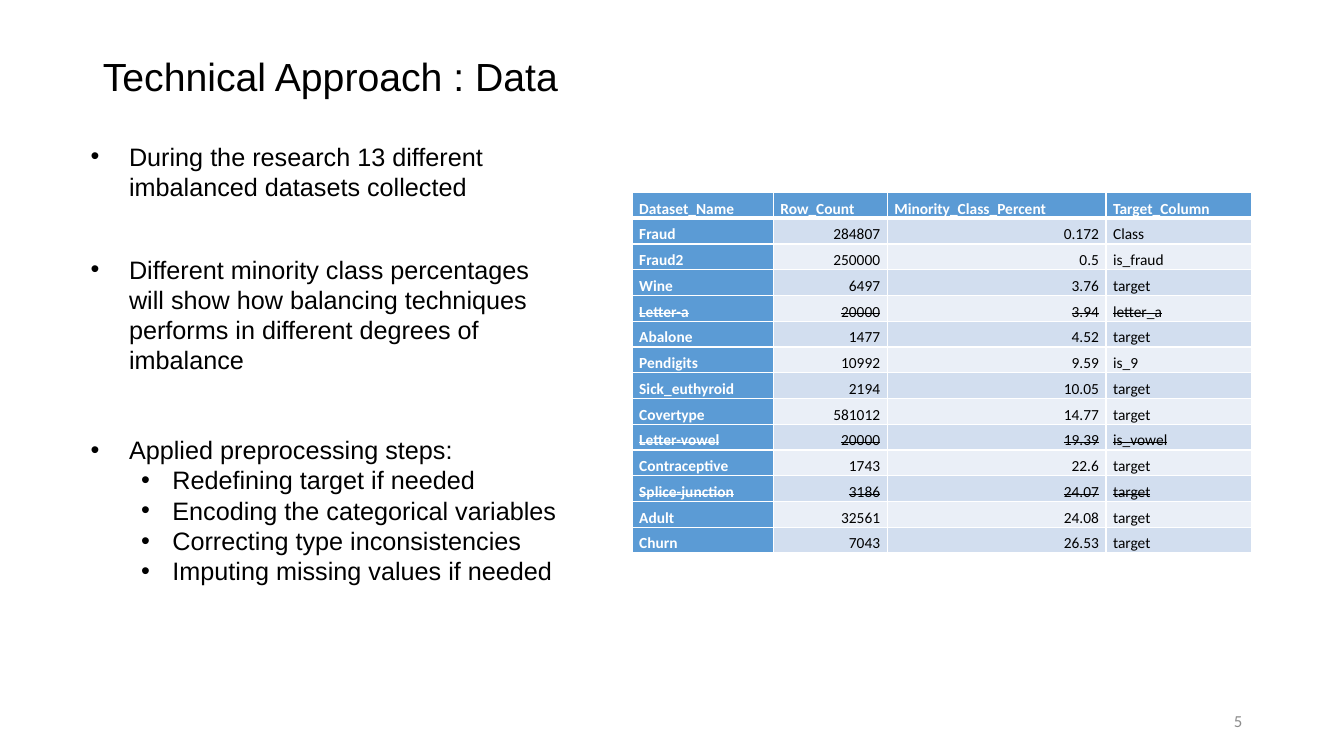
from dataclasses import dataclass
from lxml.etree import SubElement
from pptx import Presentation
from pptx.dml.color import RGBColor as Rgb
from pptx.enum.text import MSO_ANCHOR as Anchor, MSO_AUTO_SIZE as Fit, PP_ALIGN as Align
from pptx.oxml.ns import qn
from pptx.util import Inches, Pt

COLORS = {
    "text": "000000",
    "white": "FFFFFF",
    "head": "5B9BD5",
    "odd": "D2DEEF",
    "even": "EAEFF7",
    "page": "8C8C8C",
}


@dataclass
class Box:
    left: float
    top: float
    width: float
    height: float

    def place(self, shape) -> None:
        shape.left, shape.top = Inches(self.left), Inches(self.top)
        shape.width, shape.height = Inches(self.width), Inches(self.height)


@dataclass
class Point:
    box: Box
    text: str
    subs: tuple[str, ...] = ()


@dataclass
class Data:
    name: str
    count: str
    share: str
    target: str = "target"
    struck: bool = False


POINTS = [
    Point(Box(0.8, 1.35, 4.89, 0.71),
          "During the research 13 different imbalanced datasets collected"),
    Point(Box(0.8, 2.47, 4.89, 1.31),
          "Different minority class percentages will show how balancing "
          "techniques performs in different degrees of imbalance"),
    Point(Box(0.8, 4.26, 4.89, 1.65), "Applied preprocessing steps:", (
        "Redefining target if needed",
        "Encoding the categorical variables",
        "Correcting type inconsistencies",
        "Imputing missing values if needed",
    )),
]
INDENTS = [(0.38, -0.38), (0.81, -0.31)]
WIDTHS = [1.4, 1.13, 2.17, 1.44]
ROWS = [
    Data("Dataset_Name", "Row_Count", "Minority_Class_Percent", "Target_Column"),
    Data("Fraud", "284807", "0.172", "Class"),
    Data("Fraud2", "250000", "0.5", "is_fraud"),
    Data("Wine", "6497", "3.76"),
    Data("Letter-a", "20000", "3.94", "letter_a", True),
    Data("Abalone", "1477", "4.52"),
    Data("Pendigits", "10992", "9.59", "is_9"),
    Data("Sick_euthyroid", "2194", "10.05"),
    Data("Covertype", "581012", "14.77"),
    Data("Letter-vowel", "20000", "19.39", "is_vowel", True),
    Data("Contraceptive", "1743", "22.6"),
    Data("Splice-junction", "3186", "24.07", struck=True),
    Data("Adult", "32561", "24.08"),
    Data("Churn", "7043", "26.53"),
]


def style(par, size: float, face: str, color: str, bold: bool = False) -> None:
    for run in par.runs:
        font = run.font
        font.size, font.name, font.bold = Pt(size), face, bold
        font.color.rgb = Rgb.from_string(COLORS[color])


def add_point(shape, point: Point) -> None:
    point.box.place(shape)
    frame = shape.text_frame
    frame.text = "\n".join((point.text, *point.subs))
    frame.word_wrap = True
    frame.vertical_anchor = Anchor.TOP
    frame.auto_size = Fit.SHAPE_TO_FIT_TEXT
    for num, par in enumerate(frame.paragraphs):
        par.level = min(num, 1)
        par.space_before = Pt(0)
        par.line_spacing = 1.0
        props = par._p.get_or_add_pPr()
        left, hang = INDENTS[par.level]
        props.set("marL", str(Inches(left)))
        props.set("indent", str(Inches(hang)))
        SubElement(props, qn("a:buFont")).set("typeface", "Arial")
        SubElement(props, qn("a:buChar")).set("char", "•")
        style(par, 18, "Arial", "text")


def add_edges(cell, row: int) -> None:
    props = cell._tc.get_or_add_tcPr()
    for side in "LRTB":
        thick = (row, side) in ((0, "B"), (1, "T"))
        line = SubElement(props, qn(f"a:ln{side}"))
        line.set("w", str(Pt(3 if thick else 1)))
        fill = SubElement(line, qn("a:solidFill"))
        SubElement(fill, qn("a:srgbClr")).set("val", COLORS["white"])


def fill_cell(cell, text: str, row: int, col: int, struck: bool) -> None:
    head = row == 0 or col == 0
    cell.margin_left = cell.margin_right = Inches(0.07)
    cell.margin_top = cell.margin_bottom = 0
    cell.vertical_anchor = Anchor.BOTTOM
    add_edges(cell, row)
    cell.fill.solid()
    shade = "head" if head else "odd" if row % 2 else "even"
    cell.fill.fore_color.rgb = Rgb.from_string(COLORS[shade])
    par = cell.text_frame.paragraphs[0]
    par.text = text
    par.line_spacing = 1.07
    par.alignment = Align.RIGHT if row and col in (1, 2) else Align.LEFT
    style(par, 11, "Calibri", "white" if head else "text", head)
    if struck:
        par.runs[0]._r.get_or_add_rPr().set("strike", "sngStrike")


def add_grid(slide, box: Box) -> None:
    frame = slide.shapes.add_table(
        len(ROWS), len(WIDTHS), Inches(box.left), Inches(box.top),
        Inches(box.width), Inches(box.height))
    table = frame.table
    table.first_col = True
    for col, width in zip(table.columns, WIDTHS):
        col.width = Inches(width)
    for row, data in enumerate(ROWS):
        texts = (data.name, data.count, data.share, data.target)
        for col, text in enumerate(texts):
            fill_cell(table.cell(row, col), text, row, col, data.struck)


def add_title(shape, text: str) -> None:
    Box(0.92, 0.4, 10.44, 0.76).place(shape)
    frame = shape.text_frame
    frame.text = text
    frame.auto_size = Fit.NONE
    frame.vertical_anchor = Anchor.MIDDLE
    par = frame.paragraphs[0]
    par.alignment = Align.LEFT
    par.line_spacing = 0.9
    style(par, 28, "Arial", "text")


def add_page(slide, text: str) -> None:
    shape = slide.shapes.add_textbox(0, 0, 0, 0)
    Box(9.42, 6.95, 3, 0.4).place(shape)
    frame = shape.text_frame
    frame.text = text
    frame.word_wrap = True
    frame.vertical_anchor = Anchor.MIDDLE
    par = frame.paragraphs[0]
    par.alignment = Align.RIGHT
    style(par, 12, "Calibri", "page")


def main() -> None:
    deck = Presentation()
    deck.slide_width, deck.slide_height = Inches(13.33), Inches(7.5)
    slide = deck.slides.add_slide(deck.slide_layouts.get_by_name("Comparison"))
    title, *bodies = slide.placeholders
    add_title(title, "Technical Approach : Data")
    for shape, point in zip(bodies, POINTS):
        add_point(shape, point)
    for shape in bodies[len(POINTS):]:
        shape.element.getparent().remove(shape.element)
    add_grid(slide, Box(6.27, 1.91, 6.15, 3.58))
    add_page(slide, "5")
    deck.save("out.pptx")


if __name__ == "__main__":
    main()
